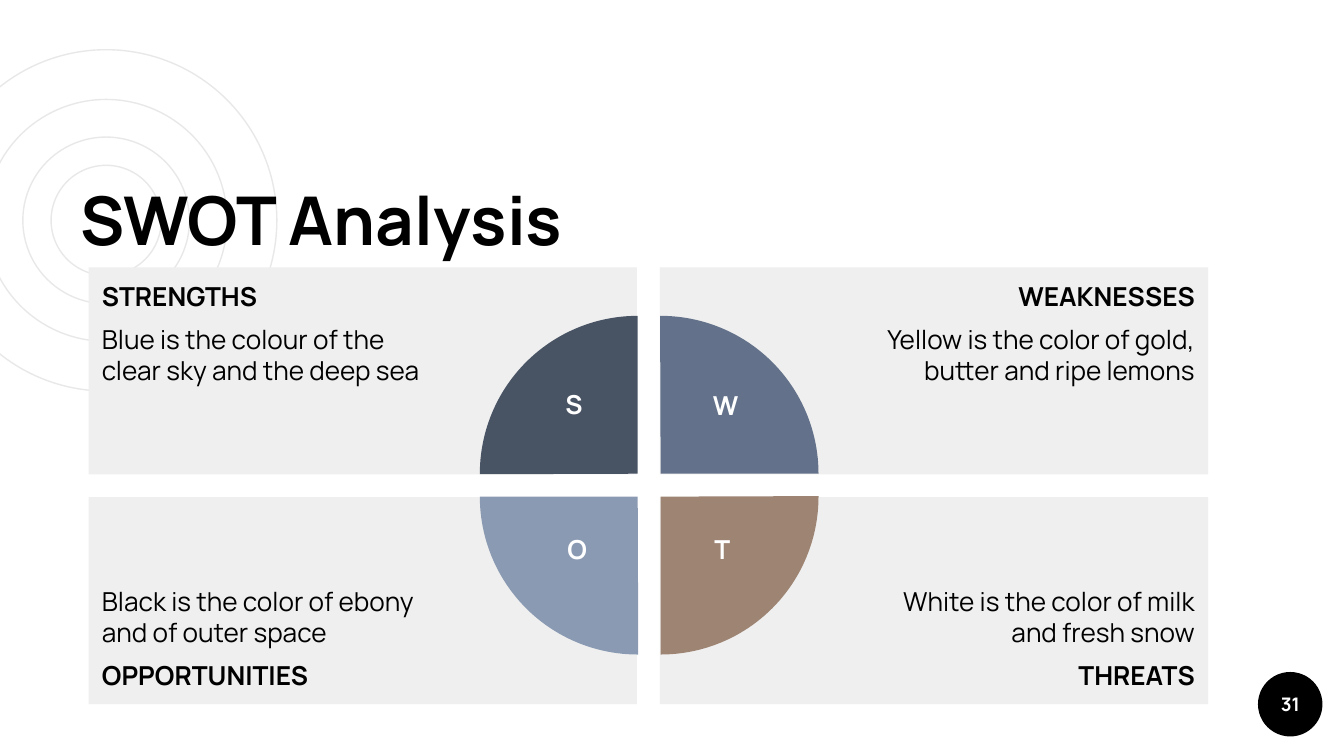
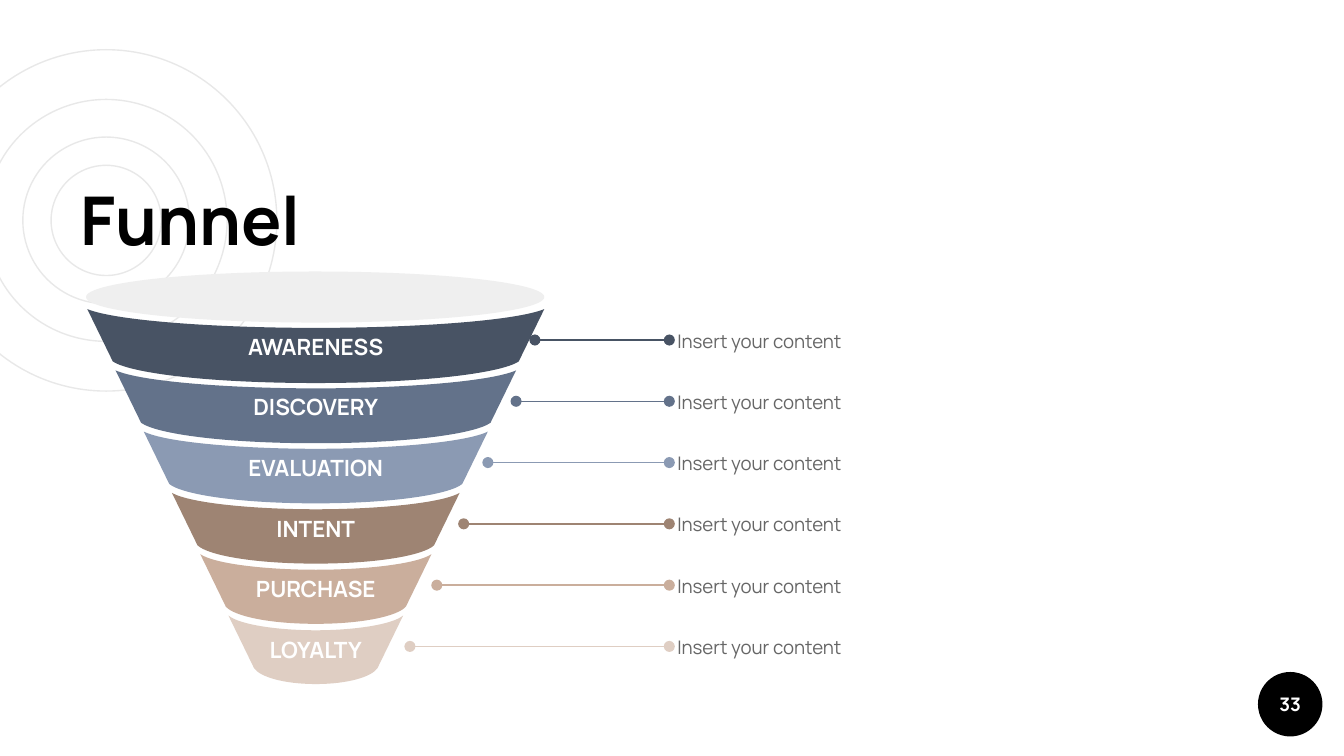
from lxml import etree
from pptx import Presentation
from pptx.dml.color import RGBColor
from pptx.enum.shapes import MSO_CONNECTOR, MSO_SHAPE
from pptx.enum.text import MSO_ANCHOR, PP_ALIGN
from pptx.oxml.ns import qn
from pptx.util import Inches, Pt

OVAL, RECT, PIE = MSO_SHAPE.OVAL, MSO_SHAPE.RECTANGLE, MSO_SHAPE.PIE
STRAIGHT = MSO_CONNECTOR.STRAIGHT
TOP, MIDDLE, BOTTOM = MSO_ANCHOR.TOP, MSO_ANCHOR.MIDDLE, MSO_ANCHOR.BOTTOM
LEFT, CENTER, RIGHT = PP_ALIGN.LEFT, PP_ALIGN.CENTER, PP_ALIGN.RIGHT

FONT = "Manrope"
BLACK = RGBColor(0x00, 0x00, 0x00)
WHITE = RGBColor(0xFF, 0xFF, 0xFF)
GRAY = RGBColor(0x66, 0x66, 0x66)
RING = RGBColor(0xE8, 0xE8, 0xE8)
PANEL = RGBColor(0xEF, 0xEF, 0xEF)
SLATE = RGBColor(0x48, 0x53, 0x64)
STEEL = RGBColor(0x63, 0x72, 0x8A)
SKY = RGBColor(0x8B, 0x9A, 0xB3)
BROWN = RGBColor(0x9E, 0x84, 0x73)
TAN = RGBColor(0xCA, 0xAE, 0x9C)
SAND = RGBColor(0xDF, 0xCE, 0xC3)

RING_CENTER = (0.79, 1.64)
RING_SIZES = [2.54, 1.24, 1.8, 0.82]
BADGE = (9.36, 5, 0.48, 0.48)

SWOT = [
    [("STRENGTHS", "Blue is the colour of the clear sky and the deep sea",
      SLATE, 0, (4.11, 2.84, 0.32, 0.43)),
     ("WEAKNESSES", "Yellow is the color of gold, butter and ripe lemons",
      STEEL, 90, (5.1, 2.85, 0.6, 0.42))],
    [("OPPORTUNITIES", "Black is the color of ebony and of outer space",
      SKY, 270, (4.08, 3.92, 0.43, 0.43)),
     ("THREATS", "White is the color of milk and fresh snow",
      BROWN, 180, (5.21, 3.92, 0.33, 0.42))],
]
PANEL_W, PANEL_H, GAP, PIE_SIZE = 4.08, 1.54, 0.17, 2.35

CAPTION = "Insert your content"
STAGES = [
    ("AWARENESS", SLATE, 3.98),
    ("DISCOVERY", STEEL, 3.84),
    ("EVALUATION", SKY, 3.63),
    ("INTENT", BROWN, 3.45),
    ("PURCHASE", TAN, 3.25),
    ("LOYALTY", SAND, 3.05),
]
FUNNEL_X, CAPTION_X = 2.35, 5.04
STAGE_STEP = 2.28 / (len(STAGES) - 1)


def write(shape, paragraphs, size, color, align=LEFT, anchor=TOP,
          insets=(0.1, 0.1, 0.1, 0.1)):
    frame = shape.text_frame
    left, top, right, bottom = map(Inches, insets)
    settings = {"word_wrap": True, "vertical_anchor": anchor, "margin_left": left,
                "margin_top": top, "margin_right": right, "margin_bottom": bottom}
    for key, value in settings.items():
        setattr(frame, key, value)
    for index, (text, bold) in enumerate(paragraphs):
        paragraph = frame.add_paragraph() if index else frame.paragraphs[0]
        paragraph.alignment = align
        if index:
            paragraph.space_before = paragraph.space_after = Pt(6)
        run = paragraph.add_run()
        run.text = text
        run.font.color.rgb = color
        for key, value in {"name": FONT, "size": Pt(size), "bold": bold}.items():
            setattr(run.font, key, value)


def paint(shape, fill=None, line=None):
    shape.shadow.inherit = False
    if fill is None:
        shape.fill.background()
    else:
        shape.fill.solid()
        shape.fill.fore_color.rgb = fill
    if line is None:
        shape.line.fill.background()
    else:
        shape.line.color.rgb = line
        shape.line.width = Pt(0.75)
    return shape


def add_shape(parent, preset, box, fill=None, line=None):
    return paint(parent.shapes.add_shape(preset, *map(Inches, box)), fill, line)


def add_text(slide, box, text, size, color, bold, **layout):
    label = slide.shapes.add_textbox(*map(Inches, box))
    write(label, [(text, bold)], size, color, **layout)


def decorate_layout(layout, slide):
    for placeholder in list(layout.placeholders):
        layout.shapes._spTree.remove(placeholder._element)
    rings = slide.shapes.add_group_shape()
    x, y = RING_CENTER
    for size in RING_SIZES:
        add_shape(rings, OVAL, (x - size / 2, y - size / 2, size, size), line=RING)
    for shared in (rings, add_shape(slide, OVAL, BADGE, BLACK)):
        layout.shapes._spTree.append(shared._element)


def add_heading(slide, title, number):
    add_text(slide, (0.5, 1.28, 5.71, 0.75), title, 36, BLACK, True, anchor=BOTTOM)
    add_text(slide, BADGE, number, 10, WHITE, True, align=CENTER, anchor=MIDDLE)


def add_swot(slide):
    for row, quadrants in enumerate(SWOT):
        for col, (heading, detail, *_) in enumerate(quadrants):
            panel = add_shape(slide, RECT, (0.66 + col * (PANEL_W + GAP),
                                            1.99 + row * (PANEL_H + GAP),
                                            PANEL_W, PANEL_H), PANEL)
            lines = [(heading, True), (detail, False)]
            write(panel, lines[::-1] if row else lines, 14, BLACK,
                  align=RIGHT if col else LEFT, anchor=BOTTOM if row else TOP,
                  insets=(1.5, 0.1, 0.1, 0.1) if col else (0.1, 0.1, 1.5, 0.1))
    for row, quadrants in enumerate(SWOT):
        for col, (heading, _, color, angle, letter_box) in enumerate(quadrants):
            wedge = add_shape(slide, PIE, (3.57 + col * GAP, 2.35 + row * GAP,
                                           PIE_SIZE, PIE_SIZE), color)
            wedge.adjustments[0] = 107.89
            wedge.adjustments[1] = 162
            wedge.rotation = angle
            add_text(slide, letter_box, heading[0], 14, WHITE, True,
                     align=CENTER, insets=(0, 0.05, 0, 0.05))


def stage_outline(index):
    depth = index / (len(STAGES) - 1)
    top = 2.3 + index * STAGE_STEP
    half = 1.7 - index * 0.21
    low = half - 0.19
    sag = 0.14 - depth * 0.03
    corner = top + 0.39
    drop = 0.16 - depth * 0.04
    rim = [(-0.42 * half, top + sag), (-0.87 * half, top + 0.64 * sag), (-half, top)]
    side = [(-low, corner)] * 3
    base = [(-0.91 * low, corner + 0.55 * drop), (-0.52 * low, corner + drop),
            (0, corner + drop)]
    left = [(0, top + sag)] + rim + side + base
    right = [(-x, y) for x, y in left[-2::-1]]
    return [(Inches(FUNNEL_X + x), Inches(y)) for x, y in left + right]


def add_curved(parent, points):
    builder = parent.shapes.build_freeform(*points[0])
    builder.add_line_segments(points[1:], close=True)
    shape = builder.convert_to_shape()
    segments = list(shape._element.iter(qn("a:lnTo")))
    for start in range(0, len(segments), 3):
        trio = segments[start:start + 3]
        bend = etree.Element(qn("a:cubicBezTo"))
        trio[0].addprevious(bend)
        for segment in trio:
            bend.append(segment[0])
            segment.getparent().remove(segment)
    return shape


def add_leader(slide, start, end, y, color):
    leader = slide.shapes.add_connector(STRAIGHT, *map(Inches, (start, y, end, y)))
    leader.line.color.rgb = color
    leader.line.width = Pt(0.75)
    outline = leader.line._get_or_add_ln()
    for tag in ("a:headEnd", "a:tailEnd"):
        etree.SubElement(outline, qn(tag), type="oval")
    etree.SubElement(leader._element.spPr, qn("a:effectLst"))


def add_funnel(slide):
    funnel = slide.shapes.add_group_shape()
    for index, (stage, color, leader_x) in enumerate(STAGES):
        layer = paint(add_curved(funnel, stage_outline(index)), color)
        write(layer, [(stage, True)], 12, WHITE, align=CENTER, anchor=MIDDLE,
              insets=(0.07, 0.04, 0.07, 0.04))
        y = 2.53 + index * STAGE_STEP
        add_leader(slide, leader_x, 4.98, y, color)
        add_text(slide, (CAPTION_X, y - 0.16, 2.64, 0.33), CAPTION, 10, GRAY, False,
                 anchor=MIDDLE, insets=(0, 0, 0, 0))
    add_shape(funnel, OVAL, (0.64, 2.02, 3.41, 0.38), PANEL)


def main():
    deck = Presentation()
    deck.slide_width, deck.slide_height = Inches(10), Inches(5.625)
    blank = deck.slide_layouts[6]
    swot, funnel = (deck.slides.add_slide(blank) for _ in range(2))
    decorate_layout(blank, swot)
    add_heading(swot, "SWOT Analysis", "31")
    add_swot(swot)
    add_heading(funnel, "Funnel", "33")
    add_funnel(funnel)
    deck.save("out.pptx")


if __name__ == "__main__":
    main()
